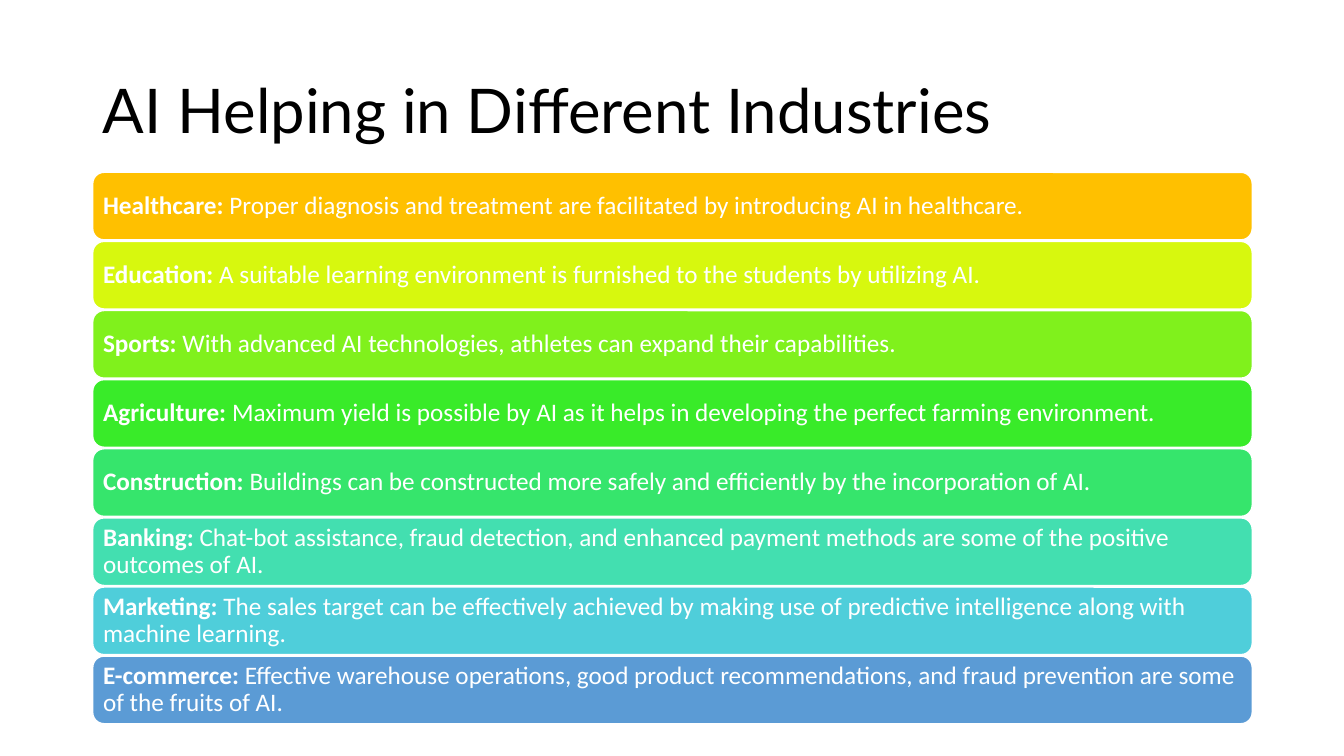
from pptx import Presentation
from pptx.dml.color import RGBColor
from pptx.enum.shapes import MSO_SHAPE as Shape
from pptx.enum.text import MSO_ANCHOR as Anchor, PP_ALIGN as Align
from pptx.util import Inches, Pt

COLORS = {
    "title": "000000",
    "white": "FFFFFF",
    "Healthcare": "FFC000",
    "Education": "D7F80E",
    "Sports": "80F11C",
    "Agriculture": "39EB29",
    "Construction": "36E56C",
    "Banking": "43DFB0",
    "Marketing": "4FCEDA",
    "E-commerce": "5B9BD5",
}
INDUSTRIES = {
    "Healthcare": "Proper diagnosis and treatment are facilitated by introducing AI in healthcare.",
    "Education": "A suitable learning environment is furnished to the students by utilizing AI.",
    "Sports": "With advanced AI technologies, athletes can expand their capabilities.",
    "Agriculture": "Maximum yield is possible by AI as it helps in developing the perfect farming environment.",
    "Construction": "Buildings can be constructed more safely and efficiently by the incorporation of AI.",
    "Banking": "Chat-bot assistance, fraud detection, and enhanced payment methods are some of the "
               "positive outcomes of AI.",
    "Marketing": "The sales target can be effectively achieved by making use of predictive intelligence "
                 "along with machine learning.",
    "E-commerce": "Effective warehouse operations, good product recommendations, and fraud prevention "
                  "are some of the fruits of AI.",
}


def color(name):
    return RGBColor.from_string(COLORS[name])


def style_paragraph(paragraph, font_name, size, color_name):
    paragraph.alignment = Align.LEFT
    paragraph.line_spacing = 0.9
    paragraph.font.name = font_name
    paragraph.font.size = Pt(size)
    paragraph.font.color.rgb = color(color_name)


presentation = Presentation()
presentation.slide_width = Inches(13.33)
presentation.slide_height = Inches(7.5)
slide = presentation.slides.add_slide(presentation.slide_layouts[6])

# Grid: one column, eight bars at an equal pitch
left, width = Inches(0.92), Inches(11.5)
first_top, pitch, bar_height = Inches(1.71), Inches(4.8 / 7), Inches(0.67)
inset = Inches(0.07)

title = slide.shapes.add_textbox(left, Inches(0.4), width, Inches(1.45))
title_frame = title.text_frame
title_frame.word_wrap = True
title_frame.vertical_anchor = Anchor.MIDDLE
title_frame.text = "AI Helping in Different Industries"
style_paragraph(title_frame.paragraphs[0], "Lato", 44, "title")

for row, (industry, benefit) in enumerate(INDUSTRIES.items()):
    bar = slide.shapes.add_shape(
        Shape.ROUNDED_RECTANGLE, left, first_top + row * pitch, width, bar_height)
    bar.shadow.inherit = False
    bar.fill.solid()
    bar.fill.fore_color.rgb = color(industry)
    bar.line.color.rgb = color("white")
    bar.line.width = Pt(1)

    frame = bar.text_frame
    frame.word_wrap = True
    frame.vertical_anchor = Anchor.MIDDLE
    frame.margin_left = frame.margin_right = inset
    frame.margin_top = frame.margin_bottom = inset
    paragraph = frame.paragraphs[0]
    style_paragraph(paragraph, "Calibri", 18, "white")
    heading = paragraph.add_run()
    heading.text = f"{industry}: "
    heading.font.bold = True
    paragraph.add_run().text = benefit

presentation.save("out.pptx")
